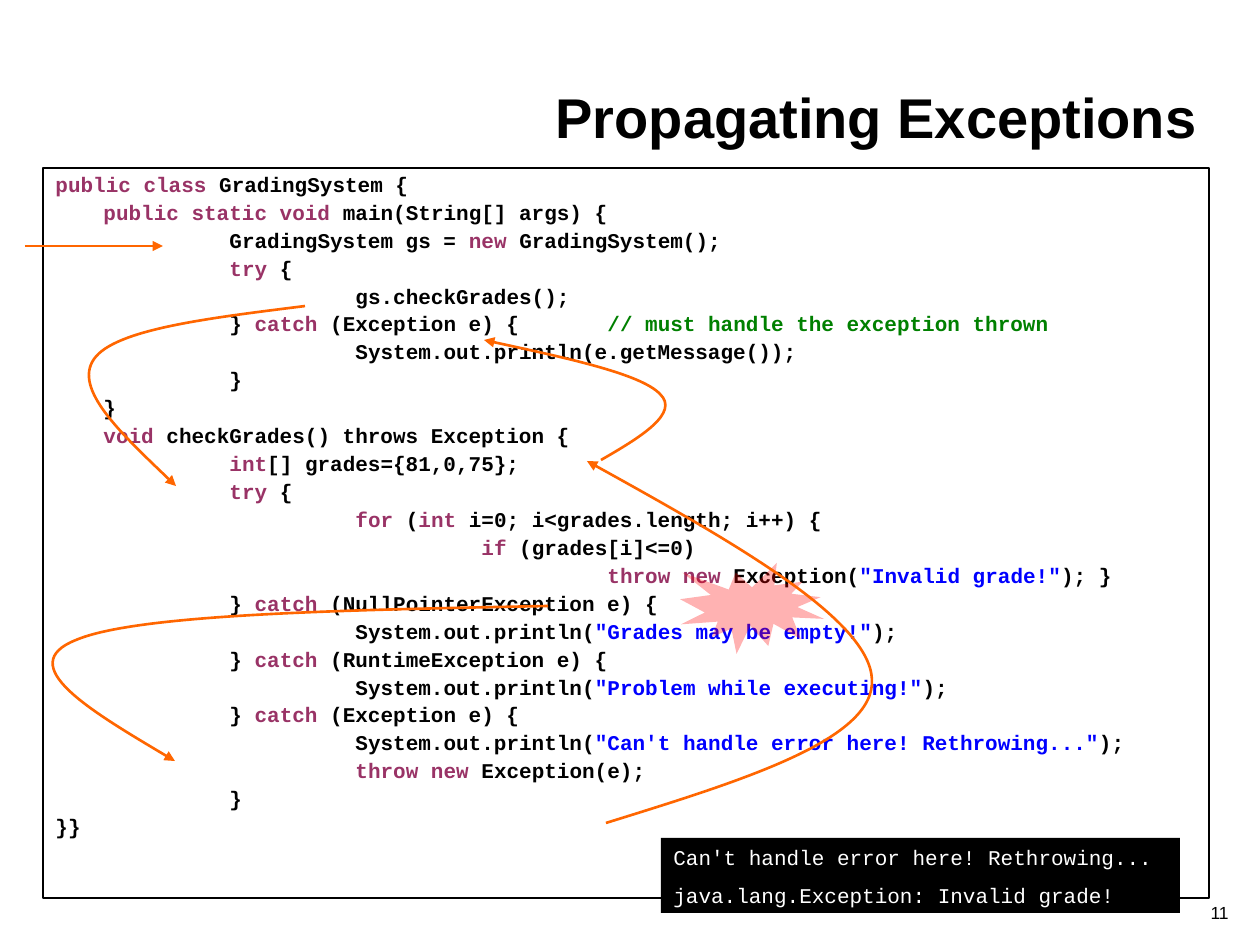
"""Build a slide on propagating exceptions in Java."""
from pptx import Presentation, util as u
from pptx.dml.color import RGBColor
from pptx.enum import shapes as s, text as t
from pptx.oxml import ns
from lxml import etree

HUE = {"ink": "000000", "key": "993366", "str": "0000FF", "note": "008000",
       "paper": "FFFFFF", "flow": "FF6600", "burst": "FF0000"}
RGB = {name: RGBColor.from_string(code) for name, code in HUE.items()}
MARKS = {"@": "key", '"': "str", "/": "note"}
CODE = [
    "@public class| GradingSystem {",
    "\t|@public static void| main(String[] args) {",
    "\t\tGradingSystem gs = |@new| GradingSystem();",
    "\t\t|@try| {",
    "\t\t\tgs.checkGrades();",
    "\t\t} |@catch| (Exception e) {\t|// must handle the exception thrown",
    "\t\t\tSystem.out.println(e.getMessage());",
    "\t\t}",
    "\t}",
    "\t|@void| checkGrades() throws Exception {",
    "\t\t|@int|[] grades={81,0,75};",
    "\t\t|@try| {",
    "\t\t\t|@for| (|@int| i=0; i<grades.length; i++) {",
    "\t\t\t\t|@if| (grades[i]<=0)",
    '\t\t\t\t\t|@throw new| Exception(|"Invalid grade!"|); }',
    "\t\t} |@catch| (NullPointerException e) {",
    '\t\t\tSystem.out.println(|"Grades may be empty!"|);',
    "\t\t} |@catch| (RuntimeException e) {",
    '\t\t\tSystem.out.println(|"Problem while executing!"|);',
    "\t\t} |@catch| (Exception e) {",
    '\t\t\tSystem.out.println(|"Can\'t handle error here! Rethrowing..."|);',
    "\t\t\t|@throw new| Exception(e);",
    "\t\t}",
    "}}",
]
PRINT = ["Can't handle error here! Rethrowing...",
         "java.lang.Exception: Invalid grade!"]
CURVES = [
    [(606, 823), (741, 781), (876, 740), (872, 679), (869, 619), (728, 539), (587, 461)],
    [(601, 460), (641, 437), (680, 413), (660, 394), (641, 374), (562, 357), (484, 340)],
    [(305, 306), (210, 318), (115, 329), (94, 359), (73, 389), (125, 437), (176, 486)],
    [(548, 606), (343, 610), (137, 614), (76, 640), (13, 665), (94, 713), (175, 761)],
]
SCALE = 914400 / 126


def px(*nums):
    return [u.Emu(round(n * SCALE)) for n in nums]


def write(frame, lines, base, bold, lead, gap):
    frame.word_wrap = True
    frame.vertical_anchor = t.MSO_ANCHOR.TOP
    for i, line in enumerate(lines):
        para = frame.add_paragraph() if i else frame.paragraphs[0]
        para.alignment = t.PP_ALIGN.LEFT
        para.line_spacing = lead
        para.space_before = u.Pt(gap if i else 0)
        props = para._p.get_or_add_pPr()
        props.set("marL", str(px(48)[0]))
        props.set("indent", str(px(-48)[0]))
        props.set("defTabSz", str(u.Inches(1)))
        tabs = etree.SubElement(props, ns.qn("a:tabLst"))
        for n in range(8):
            etree.SubElement(tabs, ns.qn("a:tab"), pos=str(u.Inches(n)), algn="l")
        for part in line.split("|"):
            run = para.add_run()
            run.text = part.removeprefix("@")
            run.font.name = "Courier New"
            run.font.size = u.Pt(12)
            run.font.bold = bold
            run.font.color.rgb = RGB[MARKS.get(part[0], base)]


prs = Presentation()
prs.slide_width, prs.slide_height = px(1260, 945)
slide = prs.slides.add_slide(prs.slide_layouts[5])
items = slide.shapes

title = items.title
title.left, title.top, title.width, title.height = px(88, 5, 1122, 151)
num = items.add_textbox(*px(1008, 892, 233, 37))
for box, label, size, bold in [(title, "Propagating Exceptions", 32, True),
                               (num, "11", 10, False)]:
    frame = box.text_frame
    frame.word_wrap = True
    frame.vertical_anchor = t.MSO_ANCHOR.BOTTOM
    para = frame.paragraphs[0]
    para.alignment = t.PP_ALIGN.RIGHT
    run = para.add_run()
    run.text = label
    run.font.name = "Arial"
    run.font.size = u.Pt(size)
    run.font.bold = bold
    run.font.color.rgb = RGB["ink"]

code = items.add_shape(s.MSO_SHAPE.RECTANGLE, *px(43, 168, 1166, 730))
code.shadow.inherit = False
code.fill.background()
code.line.color.rgb = RGB["ink"]
code.line.width = u.Pt(1)
write(code.text_frame, CODE, "ink", True, 0.9, 3)

out = items.add_shape(s.MSO_SHAPE.RECTANGLE, *px(661, 838, 519, 75))
burst = items.add_shape(s.MSO_SHAPE.EXPLOSION1, *px(680, 563, 144, 91))
for shape, hue in [(out, "ink"), (burst, "burst")]:
    shape.shadow.inherit = False
    shape.fill.solid()
    shape.fill.fore_color.rgb = RGB[hue]
    shape.line.fill.background()
write(out.text_frame, PRINT, "paper", False, 1.0, 7.5)
tint = burst.element.spPr.find(ns.qn("a:solidFill"))[0]
etree.SubElement(tint, ns.qn("a:alpha"), val="30000")

arrows = [items.add_connector(s.MSO_CONNECTOR.STRAIGHT, *px(25, 246, 163, 246))]
for first, *rest in CURVES:
    pen = items.build_freeform(*px(*first))
    pen.add_line_segments([px(*dot) for dot in rest], close=False)
    curve = pen.convert_to_shape()
    curve.fill.background()
    legs = list(curve.element.iter(ns.qn("a:lnTo")))
    route = legs[0].getparent()
    for k in range(0, len(legs), 3):
        bend = etree.SubElement(route, ns.qn("a:cubicBezTo"))
        for leg in legs[k:k + 3]:
            bend.append(leg[0])
            route.remove(leg)
    arrows.append(curve)

for arrow in arrows:
    arrow.line.color.rgb = RGB["flow"]
    arrow.line.width = u.Pt(1.5)
    props = arrow.element.spPr
    etree.SubElement(props.find(ns.qn("a:ln")), ns.qn("a:tailEnd"), type="triangle")
    etree.SubElement(props, ns.qn("a:effectLst"))

prs.save("out.pptx")
